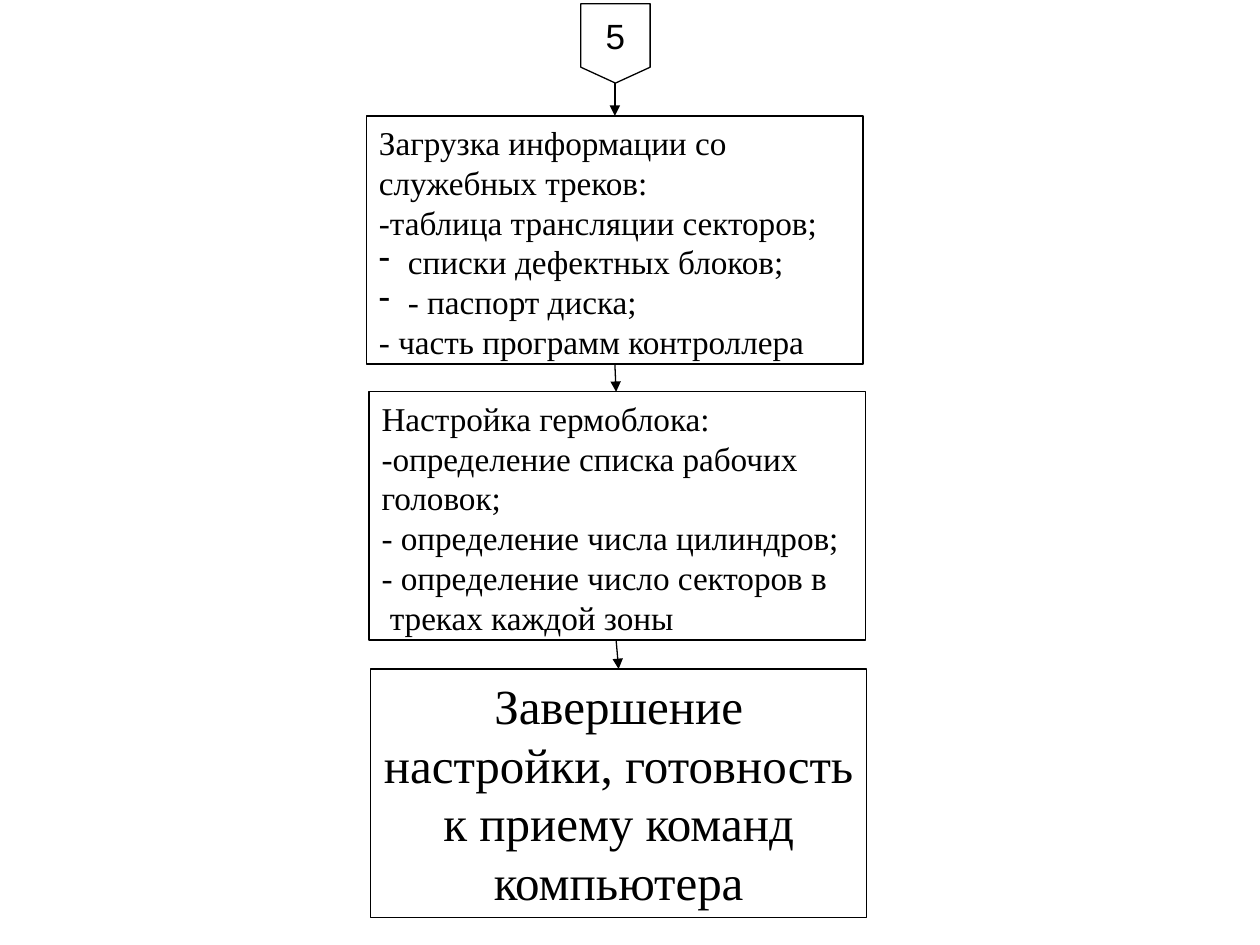
from dataclasses import dataclass

import pptx
import pptx.dml.color
import pptx.enum.shapes
import pptx.enum.text
import pptx.oxml.ns
import pptx.util
from lxml import etree
from pptx.util import Inches

COLORS = {"ink": "000000", "paper": "FFFFFF"}
LINE_WIDTH = pptx.util.Pt(0.75)
BULLET_INDENT = Inches(0.23)
SHAPES = pptx.enum.shapes.MSO_SHAPE
ALIGN = pptx.enum.text.PP_ALIGN
ANCHOR = pptx.enum.text.MSO_ANCHOR


@dataclass
class Step:
    left: float
    top: float
    lines: list[str]
    width: float = 3.94
    height: float = 1.97
    size: int = 19
    font: str = "Times New Roman"
    align: ALIGN = ALIGN.LEFT
    anchor: ANCHOR = ANCHOR.TOP
    wrap: bool = True
    preset: SHAPES = SHAPES.RECTANGLE
    filled: bool = False
    bulleted: tuple[int, ...] = ()


@dataclass
class Arrow:
    start: tuple[float, float]
    end: tuple[float, float]


STEPS = [
    Step(2.91, 0.92, [
        "Загрузка информации со служебных треков:",
        "-таблица трансляции секторов;",
        "списки дефектных блоков;",
        "- паспорт диска;",
        "- часть программ контроллера",
    ], bulleted=(2, 3)),
    Step(2.93, 3.11, [
        "Настройка гермоблока:",
        "-определение списка рабочих головок;",
        "- определение числа цилиндров;",
        "- определение число секторов в",
        " треках каждой зоны",
    ]),
    Step(2.94, 5.31, ["Завершение настройки, готовность к приему команд компьютера"],
         size=28, align=ALIGN.CENTER),
    Step(4.61, 0.03, ["5"], width=0.55, height=0.63, size=20, font="Arial",
         align=ALIGN.CENTER, anchor=ANCHOR.MIDDLE, wrap=False,
         preset=SHAPES.FLOWCHART_OFFPAGE_CONNECTOR, filled=True),
]

ARROWS = [
    Arrow((4.88, 0.66), (4.88, 0.92)),
    Arrow((4.88, 2.89), (4.89, 3.11)),
    Arrow((4.89, 5.08), (4.91, 5.31)),
]


def color(name: str) -> pptx.dml.color.RGBColor:
    return pptx.dml.color.RGBColor.from_string(COLORS[name])


def add_dash_bullet(paragraph) -> None:
    properties = paragraph._p.get_or_add_pPr()
    properties.set("marL", str(BULLET_INDENT))
    properties.set("indent", str(-BULLET_INDENT))
    bullet = etree.SubElement(properties, pptx.oxml.ns.qn("a:buChar"))
    bullet.set("char", "-")


def draw_step(slide, step: Step) -> None:
    box = slide.shapes.add_shape(step.preset, Inches(step.left), Inches(step.top),
                                 Inches(step.width), Inches(step.height))
    box.shadow.inherit = False
    if step.filled:
        box.fill.solid()
        box.fill.fore_color.rgb = color("paper")
    else:
        box.fill.background()
    box.line.color.rgb = color("ink")
    box.line.width = LINE_WIDTH

    frame = box.text_frame
    frame.word_wrap = step.wrap
    frame.vertical_anchor = step.anchor
    frame.text = "\n".join(step.lines)
    for index, paragraph in enumerate(frame.paragraphs):
        paragraph.alignment = step.align
        if index in step.bulleted:
            add_dash_bullet(paragraph)
        for run in paragraph.runs:
            run.font.name = step.font
            run.font.size = pptx.util.Pt(step.size)
            run.font.color.rgb = color("ink")


def draw_arrow(slide, arrow: Arrow) -> None:
    connector = slide.shapes.add_connector(
        pptx.enum.shapes.MSO_CONNECTOR.STRAIGHT,
        *map(Inches, arrow.start), *map(Inches, arrow.end))
    connector.line.color.rgb = color("ink")
    connector.line.width = LINE_WIDTH
    tip = etree.SubElement(connector.line._get_or_add_ln(), pptx.oxml.ns.qn("a:tailEnd"))
    tip.set("type", "triangle")
    etree.SubElement(connector._element.spPr, pptx.oxml.ns.qn("a:effectLst"))


def main() -> None:
    deck = pptx.Presentation()
    deck.slide_width, deck.slide_height = Inches(10), Inches(7.5)
    slide = deck.slides.add_slide(deck.slide_layouts[6])
    for step in STEPS:
        draw_step(slide, step)
    for arrow in ARROWS:
        draw_arrow(slide, arrow)
    deck.save("out.pptx")


if __name__ == "__main__":
    main()
